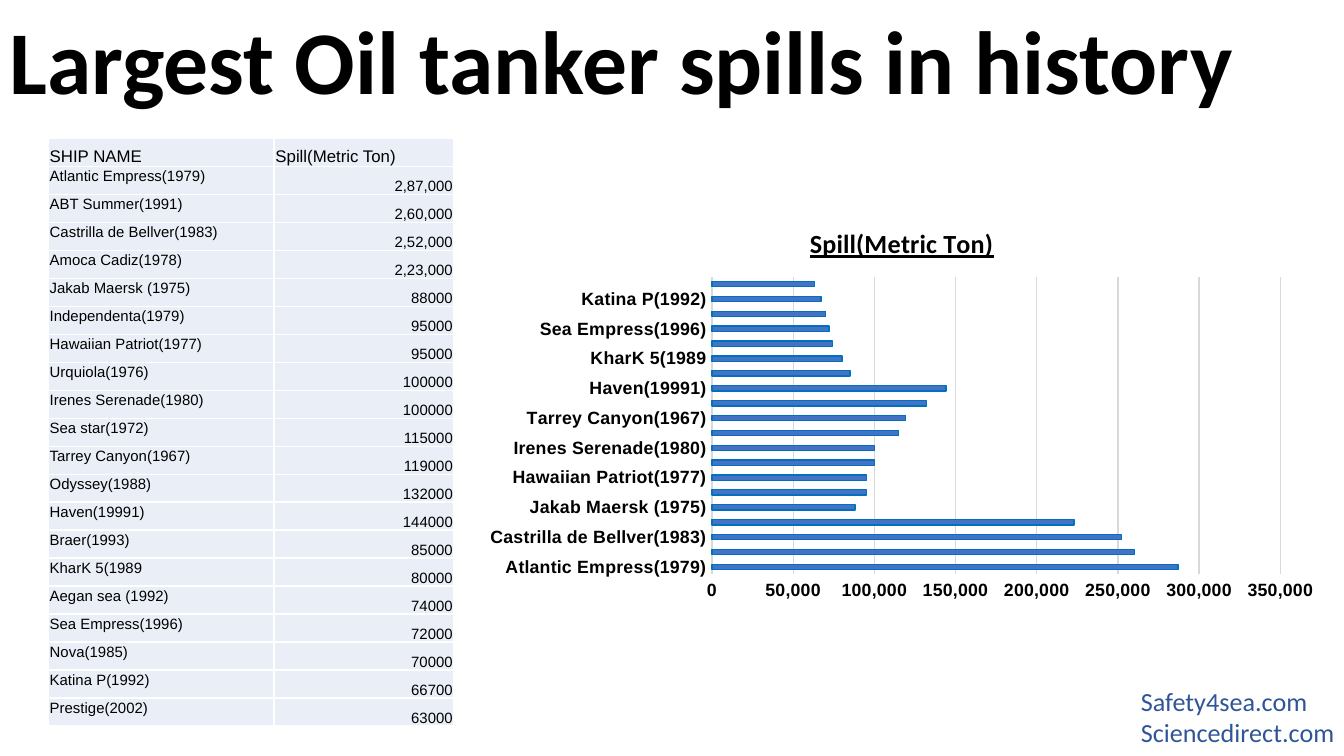
from pptx import Presentation
from pptx.chart.data import CategoryChartData
from pptx.dml.color import RGBColor
from pptx.enum.chart import XL_CHART_TYPE as ChartType, XL_TICK_MARK as TickMark
from pptx.enum.text import MSO_ANCHOR as Anchor, PP_ALIGN as Align
from pptx.oxml import parse_xml
from pptx.oxml.ns import nsdecls
from pptx.util import Inches, Pt

COLORS = {
    "text": "000000", "source": "2F5597", "cell": "EAEFF7", "border": "FFFFFF",
    "bar": "4472C4", "bar_line": "0070C0", "grid": "D9D9D9",
}
HEADERS = ("SHIP NAME", "Spill(Metric Ton)")
SPILLS = [
    ("Atlantic Empress(1979)", "2,87,000"),
    ("ABT Summer(1991)", "2,60,000"),
    ("Castrilla de Bellver(1983)", "2,52,000"),
    ("Amoca Cadiz(1978)", "2,23,000"),
    ("Jakab Maersk (1975)", "88000"),
    ("Independenta(1979)", "95000"),
    ("Hawaiian Patriot(1977)", "95000"),
    ("Urquiola(1976)", "100000"),
    ("Irenes Serenade(1980)", "100000"),
    ("Sea star(1972)", "115000"),
    ("Tarrey Canyon(1967)", "119000"),
    ("Odyssey(1988)", "132000"),
    ("Haven(19991)", "144000"),
    ("Braer(1993)", "85000"),
    ("KharK 5(1989", "80000"),
    ("Aegan sea (1992)", "74000"),
    ("Sea Empress(1996)", "72000"),
    ("Nova(1985)", "70000"),
    ("Katina P(1992)", "66700"),
    ("Prestige(2002)", "63000"),
]


def color(name):
    return RGBColor.from_string(COLORS[name])


def write(para, text, size, font="Arial", fill="text", bold=False,
          underline=False, align=Align.LEFT):
    para.alignment = align
    span = para.add_run()
    span.text = text
    span.font.size = Pt(size)
    span.font.name = font
    span.font.bold = bold
    span.font.underline = underline
    span.font.color.rgb = color(fill)


# A 16:9 page
deck = Presentation()
deck.slide_width, deck.slide_height = Inches(10), Inches(10 * 9 / 16)
page = deck.slides.add_slide(deck.slide_layouts[6])

# Title
title = page.shapes.add_textbox(0, 0, Inches(9.72), Inches(0.83)).text_frame
title.word_wrap = True
title.margin_left = title.margin_right = Inches(0.07)
title.margin_top = title.margin_bottom = Inches(0.04)
write(title.paragraphs[0], "Largest Oil tanker spills in history", 48,
      font="Calibri", bold=True)

# Table of ships
rows = [HEADERS] + SPILLS
row_height = Inches(4.38 / len(rows))
table = page.shapes.add_table(len(rows), 2, Inches(0.36), Inches(1.03),
                              Inches(3.02), row_height * len(rows)).table
table.first_row = table.horz_banding = False
table.columns[0].width, table.columns[1].width = Inches(1.68), Inches(1.34)
for r, row in enumerate(rows):
    table.rows[r].height = row_height
    for c, text in enumerate(row):
        cell = table.cell(r, c)
        is_header, is_name = r == 0, c == 0
        cell.margin_left = cell.margin_right = cell.margin_top = Inches(0.01)
        cell.margin_bottom = 0
        cell.vertical_anchor = Anchor.TOP if is_name and not is_header else Anchor.BOTTOM
        write(cell.text_frame.paragraphs[0], text, 9 if is_header else 8,
              align=Align.LEFT if is_header or is_name else Align.RIGHT)
        for side in ("lnL", "lnR", "lnT", "lnB"):
            cell._tc.get_or_add_tcPr().append(parse_xml(
                f'<a:{side} {nsdecls("a")} w="12700"><a:solidFill>'
                f'<a:srgbClr val="{COLORS["border"]}"/></a:solidFill></a:{side}>'))
        cell.fill.solid()
        cell.fill.fore_color.rgb = color("cell")

# Bar chart, in whole thousands of tons
data = CategoryChartData(number_format="#,##0")
data.categories = [ship for ship, _ in SPILLS]
data.add_series(HEADERS[1], [round(int(tons.replace(",", "")), -3) for _, tons in SPILLS])
chart = page.shapes.add_chart(ChartType.BAR_CLUSTERED, Inches(3.52), Inches(1.53),
                              Inches(6.38), Inches(3), data).chart
chart.has_legend = False
chart.font.name, chart.font.size = "Arial", Pt(10)
chart.font.color.rgb = color("text")
chart.has_title = True
write(chart.chart_title.text_frame.paragraphs[0], HEADERS[1], 14,
      font="Calibri", bold=True, underline=True, align=Align.CENTER)
chart.chart_title.include_in_layout = False

for axis in (chart.category_axis, chart.value_axis):
    axis.major_tick_mark = axis.minor_tick_mark = TickMark.NONE
    font = axis.tick_labels.font
    font.name, font.size, font.bold = "Arial", Pt(9.5), True
    font.color.rgb = color("text")
chart.value_axis.has_major_gridlines = True
chart.value_axis.format.line.fill.background()
chart.value_axis.tick_labels.number_format = "#,##0"
chart.value_axis.tick_labels.number_format_is_linked = False

plot = chart.plots[0]
plot.gap_width = 182
plot.vary_by_categories = False
bars = plot.series[0].format
bars.fill.solid()
bars.fill.fore_color.rgb = color("bar")
for line, name in ((bars.line, "bar_line"),
                   (chart.category_axis.format.line, "grid"),
                   (chart.value_axis.major_gridlines.format.line, "grid")):
    line.color.rgb = color(name)
    line.width = Pt(0.75)

# Sources
sources = page.shapes.add_textbox(Inches(8.39), Inches(5.05),
                                  Inches(1.77), Inches(0.57)).text_frame
sources.word_wrap = True
for i, site in enumerate(("Safety4sea.com", "Sciencedirect.com")):
    para = sources.add_paragraph() if i else sources.paragraphs[0]
    write(para, site, 14, font="Calibri", fill="source", align=Align.JUSTIFY)

deck.save("out.pptx")
